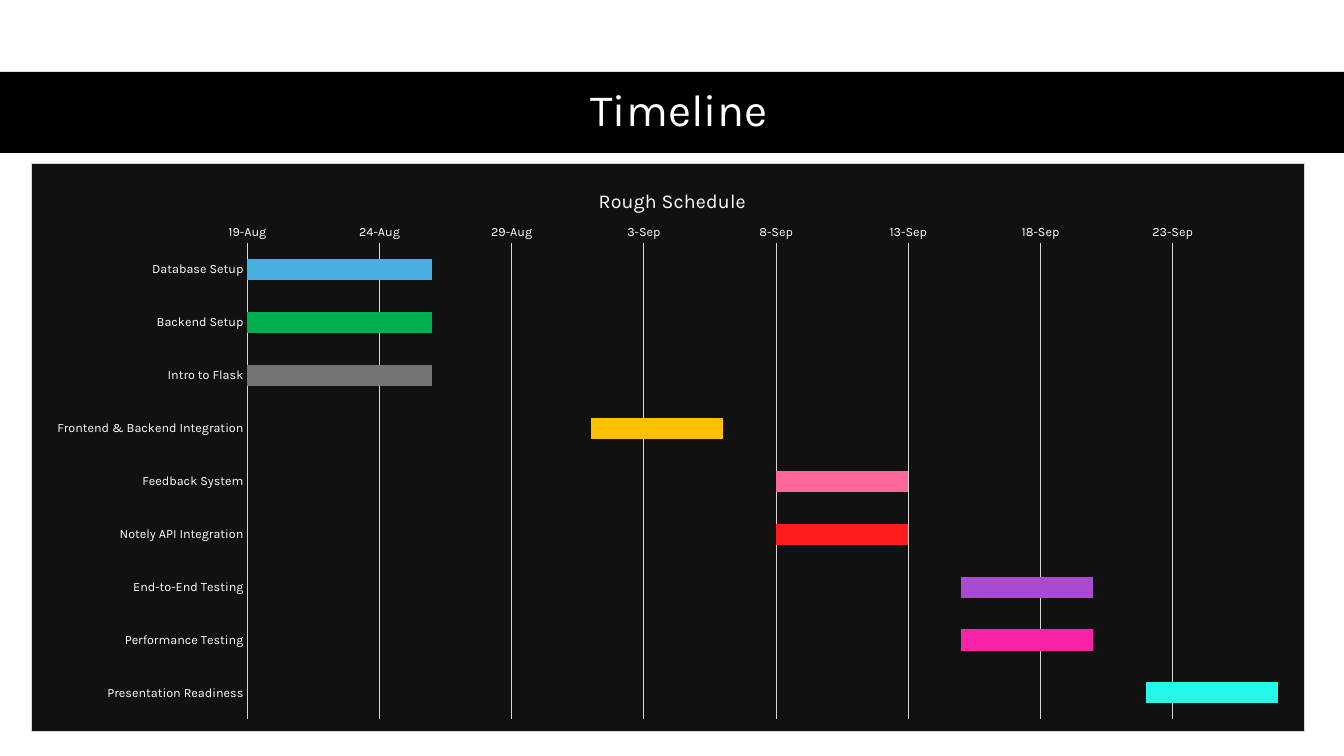
from lxml.etree import SubElement
from pptx import Presentation
from pptx.chart.data import CategoryChartData
from pptx.dml.color import RGBColor
from pptx.enum.chart import XL_CHART_TYPE, XL_TICK_MARK
from pptx.enum.shapes import MSO_SHAPE
from pptx.enum.text import MSO_ANCHOR, PP_ALIGN
from pptx.oxml import parse_xml
from pptx.oxml.ns import nsdecls, qn
from pptx.util import Pt

PX = 914400 / 100.8
FONT = "Karla"
CHART_X, CHART_Y, CHART_W, CHART_H = 31, 163, 1274, 569
START, END = 45888, 45927
TASKS = [
    ("Database Setup", 0, 7, "46B1E1"),
    ("Backend Setup", 0, 7, "00B050"),
    ("Intro to Flask", 0, 7, "747474"),
    ("Frontend & Backend Integration", 13, 5, "FFC000"),
    ("Feedback System", 20, 5, "FF6699"),
    ("Notely API Integration", 20, 5, "FF1D1D"),
    ("End-to-End Testing", 27, 5, "A84BD1"),
    ("Performance Testing", 27, 5, "F923A7"),
    ("Presentation Readiness", 34, 5, "25F7E8"),
]


def px(*lengths):
    return [round(n * PX) for n in lengths]


def style_font(font, size, color="FFFFFF"):
    font.name = FONT
    font.size = Pt(size)
    font.bold = False
    font.color.rgb = RGBColor.from_string(color)


prs = Presentation()
prs.slide_width, prs.slide_height = px(1344, 756)
s = prs.slides.add_slide(prs.slide_layouts[5])

band = s.shapes.add_shape(MSO_SHAPE.RECTANGLE, *px(0, 72, 1344, 81))
band.shadow.inherit = False
band.fill.solid()
band.fill.fore_color.rgb = RGBColor.from_string("000000")
band.line.fill.background()

title = s.shapes.title
band.element.addnext(title.element)
title.left, title.top, title.width, title.height = px(61, 71, 1236, 81)
tf = title.text_frame
tf.text = "Timeline"
tf.vertical_anchor = MSO_ANCHOR.MIDDLE
p = tf.paragraphs[0]
p.alignment = PP_ALIGN.CENTER
p.line_spacing = 0.9
style_font(p.runs[0].font, 32)

data = CategoryChartData()
data.categories = [name for name, *_ in TASKS]
data.add_series("Series 1", [START + day for _, day, *_ in TASKS])
data.add_series("Series 2", [days for _, _, days, _ in TASKS])
chart = s.shapes.add_chart(
    XL_CHART_TYPE.BAR_STACKED, *px(CHART_X, CHART_Y, CHART_W, CHART_H), data
).chart
chart.has_legend = False
style_font(chart.font, 10, "000000")
chart.has_title = True
tf = chart.chart_title.text_frame
tf.text = "Rough Schedule"
style_font(tf.paragraphs[0].runs[0].font, 14)

plot = chart.plots[0]
plot.gap_width = 150
plot.overlap = 100
plot.vary_by_categories = False
offset, bars = plot.series
offset.format.fill.background()
bars.format.fill.solid()
bars.format.fill.fore_color.rgb = RGBColor.from_string("E97132")
for i, (*_, color) in enumerate(TASKS):
    fill = bars.points[i].format.fill
    fill.solid()
    fill.fore_color.rgb = RGBColor.from_string(color)

tasks, dates = chart.category_axis, chart.value_axis
for axis in (tasks, dates):
    axis.major_tick_mark = axis.minor_tick_mark = XL_TICK_MARK.NONE
    style_font(axis.tick_labels.font, 9)
tasks.reverse_order = True
dates.minimum_scale, dates.maximum_scale, dates.major_unit = START, END, 5
dates.tick_labels.number_format = r"[$-409]d\-mmm;@"
dates.tick_labels.number_format_is_linked = False
dates.has_major_gridlines = True
dates.format.line.fill.background()
for line in (tasks.format.line, dates.major_gridlines.format.line):
    line.width = Pt(0.75)
    line.color.rgb = RGBColor.from_string("D9D9D9")

space = chart.element.find(qn("c:chart"))
space.addnext(parse_xml(
    f'<c:spPr {nsdecls("c", "a")}>'
    '<a:solidFill><a:srgbClr val="111111"/></a:solidFill>'
    '<a:ln w="9525"><a:solidFill><a:srgbClr val="D9D9D9"/></a:solidFill></a:ln>'
    '</c:spPr>'
))

for tag, index, left, top, size in (
    ("c:plotArea", 0, 247, 243, (1032, 477)),
    ("c:title", 1, 595, 184, None),
):
    part = space.find(qn(tag))
    for old in part.findall(qn("c:layout")):
        part.remove(old)
    layout = parse_xml(f'<c:layout {nsdecls("c")}><c:manualLayout/></c:layout>')
    part.insert(index, layout)
    values = [("xMode", "edge"), ("yMode", "edge")]
    if size:
        values.insert(0, ("layoutTarget", "inner"))
    values += [("x", (left - CHART_X) / CHART_W), ("y", (top - CHART_Y) / CHART_H)]
    if size:
        values += [("w", size[0] / CHART_W), ("h", size[1] / CHART_H)]
    for name, value in values:
        SubElement(layout[0], qn(f"c:{name}")).set("val", str(value))

prs.save("out.pptx")
